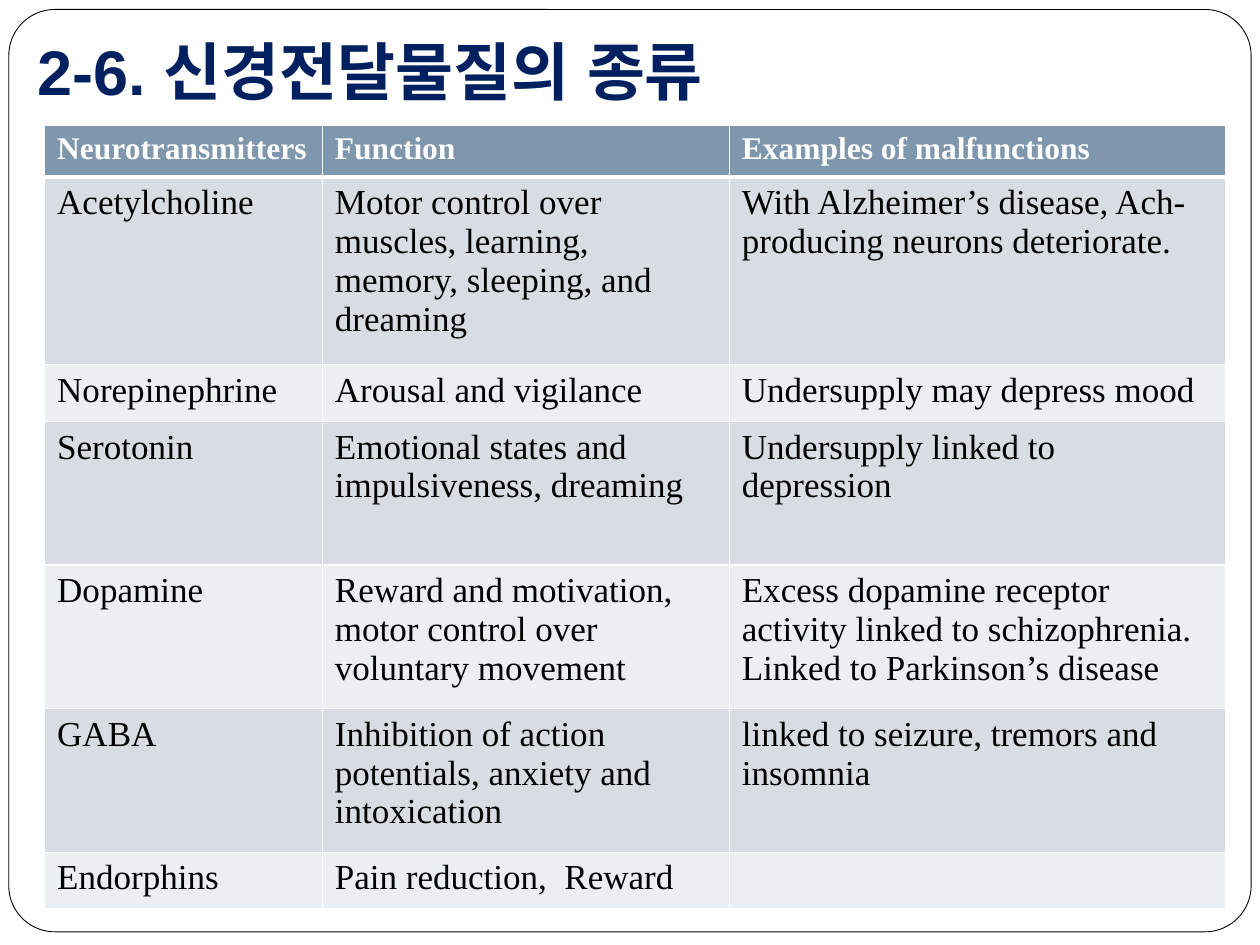
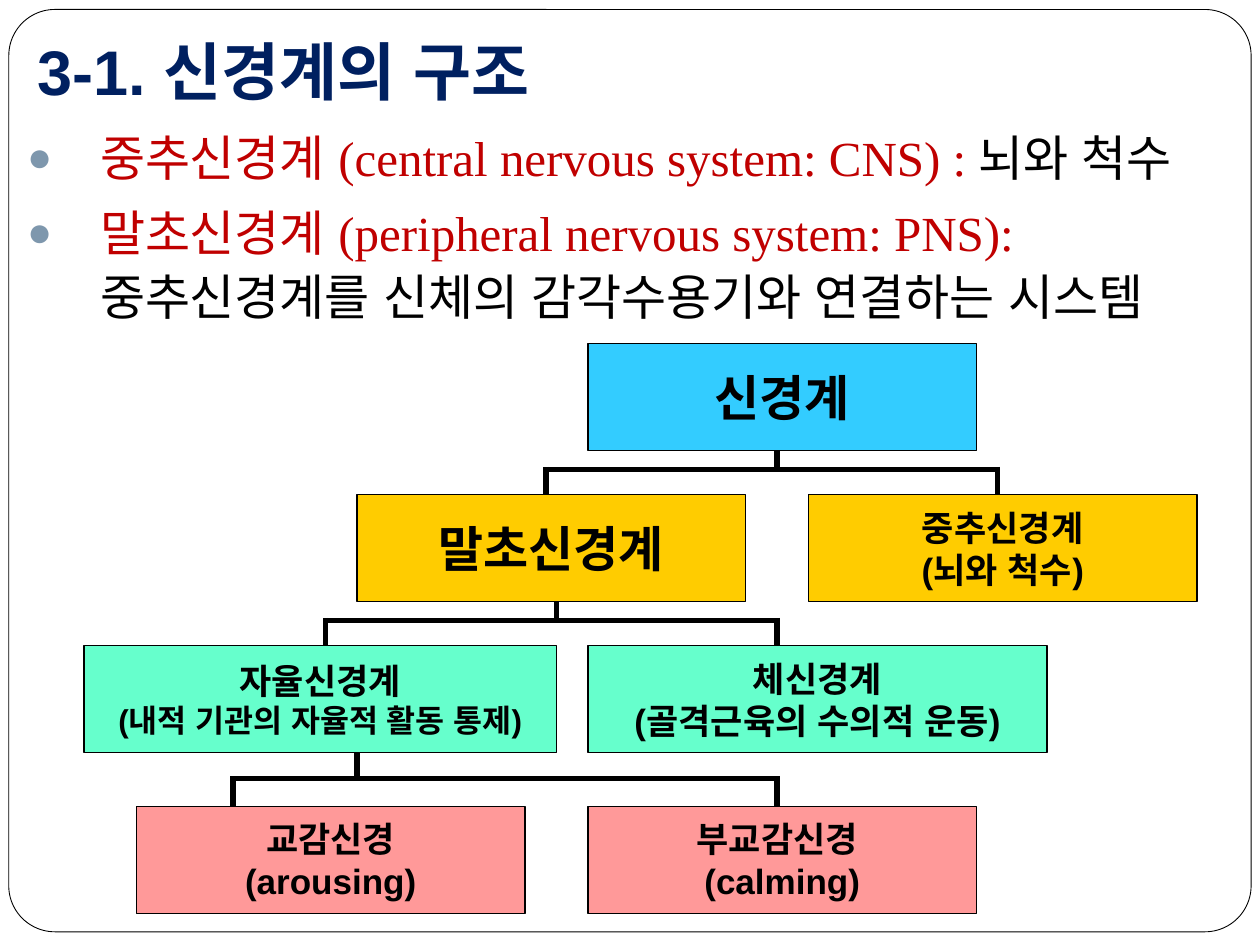
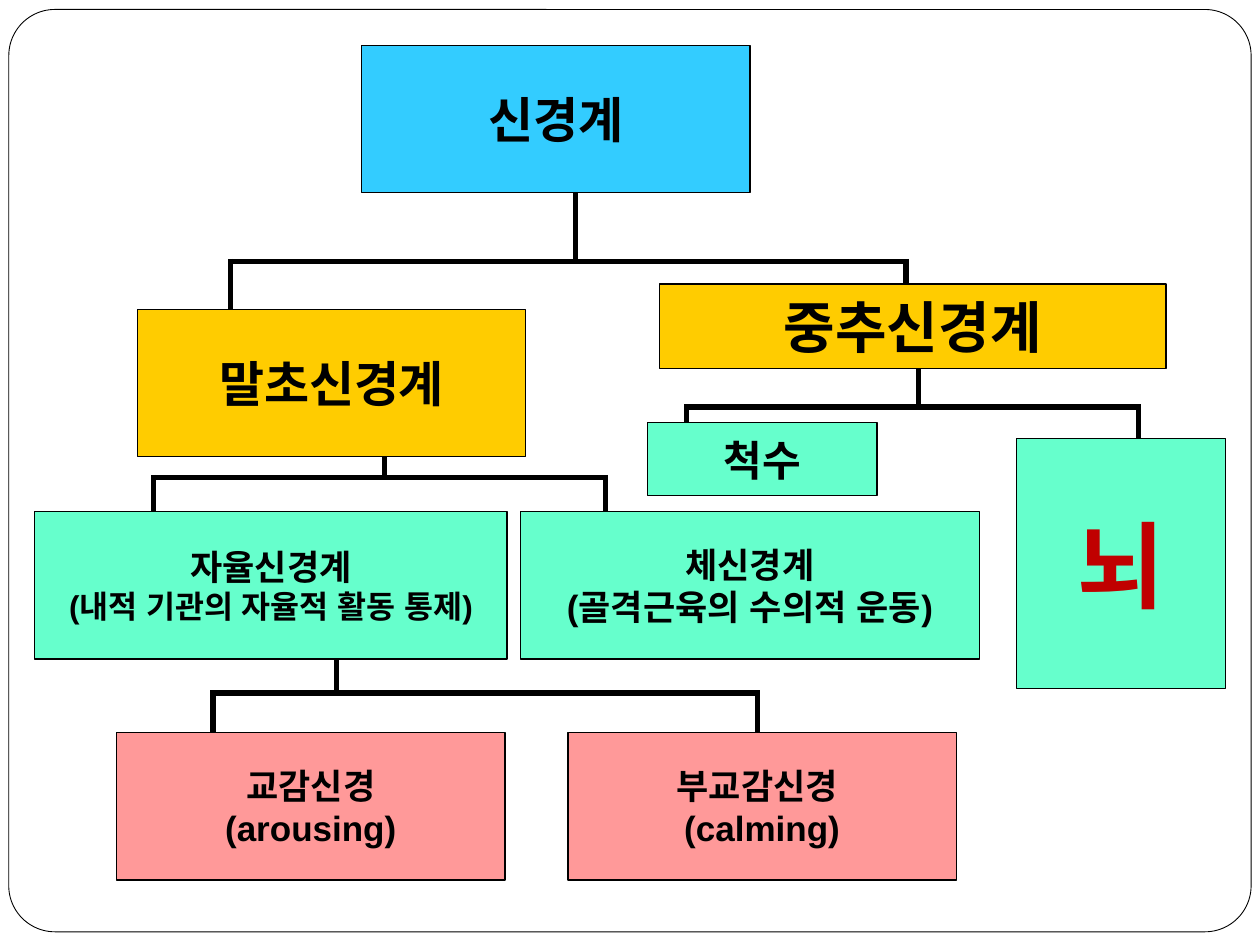
from dataclasses import dataclass

from lxml import etree
from pptx import Presentation
from pptx.dml.color import RGBColor
from pptx.enum.shapes import MSO_CONNECTOR, MSO_SHAPE
from pptx.enum.text import MSO_ANCHOR, MSO_AUTO_SIZE, PP_ALIGN
from pptx.oxml.ns import qn
from pptx.util import Inches, Pt

RECTANGLE, ROUNDED = MSO_SHAPE.RECTANGLE, MSO_SHAPE.ROUNDED_RECTANGLE
STRAIGHT = MSO_CONNECTOR.STRAIGHT
LEFT, CENTER = PP_ALIGN.LEFT, PP_ALIGN.CENTER
TOP, MIDDLE, BOTTOM = MSO_ANCHOR.TOP, MSO_ANCHOR.MIDDLE, MSO_ANCHOR.BOTTOM
NO_FIT = MSO_AUTO_SIZE.NONE

WIDTH, HEIGHT = Inches(10), Inches(7.5)
COLUMN, ROW = WIDTH / 100, HEIGHT / 75
TITLE_AND_BODY, TITLE_ONLY, BLANK = 1, 5, 6
SANS, SERIF = "Arial", "Times New Roman"
COLORS = {
    "white": "FFFFFF", "black": "000000", "navy": "002060", "red": "C00000",
    "slate": "7E97AD", "band": "D8DDE3", "pale": "ECEFF1",
    "sky": "33CCFF", "gold": "FFCC00", "mint": "66FFCC", "rose": "FF9999",
}


@dataclass(frozen=True)
class Area:
    """A rectangle in grid columns and rows."""
    left: float
    top: float
    width: float
    height: float

    def lengths(self) -> tuple[int, int, int, int]:
        return (round(self.left * COLUMN), round(self.top * ROW),
                round(self.width * COLUMN), round(self.height * ROW))


@dataclass(frozen=True)
class Label:
    """The lines of a box, each with its size, and the box's colours."""
    lines: tuple[tuple[str, int], ...]
    fill: str
    color: str = "black"


@dataclass(frozen=True)
class Node:
    label: Label
    area: Area


@dataclass(frozen=True)
class Branch:
    """A trunk that comes down to a bar with a drop at each end."""
    trunk: float
    start: float
    left: float
    right: float
    bar: float
    end: float


NERVOUS = Label((("신경계", 28),), "sky")
PERIPHERAL = Label((("말초신경계", 28),), "gold")
CENTRAL = Label((("중추신경계", 32),), "gold")
CENTRAL_PARTS = Label((("중추신경계", 20), ("(뇌와 척수)", 20)), "gold")
AUTONOMIC = Label((("자율신경계", 20), ("(내적 기관의 자율적 활동 통제)", 18)), "mint")
SOMATIC = Label((("체신경계", 20), ("(골격근육의 수의적 운동)", 20)), "mint")
SYMPATHETIC = Label((("교감신경", 20), ("(arousing)", 20)), "rose")
PARASYMPATHETIC = Label((("부교감신경 ", 20), ("(calming)", 20)), "rose")
SPINAL_CORD = Label((("척수", 24),), "mint")
BRAIN = Label((("뇌", 54),), "mint", "red")

BOX, AUTONOMIC_WIDTH, SOMATIC_WIDTH = 30.83, 37.5, 36.42
LOW, TALL = 8.5, 11.7
STRUCTURE_NODES = [
    Node(NERVOUS, Area(46.67, 27.25, BOX, LOW)),
    Node(PERIPHERAL, Area(28.33, 39.25, BOX, LOW)),
    Node(CENTRAL_PARTS, Area(64.17, 39.25, BOX, LOW)),
    Node(AUTONOMIC, Area(6.67, 51.25, AUTONOMIC_WIDTH, LOW)),
    Node(SOMATIC, Area(46.67, 51.25, SOMATIC_WIDTH, LOW)),
    Node(SYMPATHETIC, Area(10.83, 64, BOX, LOW)),
    Node(PARASYMPATHETIC, Area(46.67, 64, BOX, LOW)),
]
STRUCTURE_BRANCHES = [
    Branch(61.67, 35, 43.33, 79.17, 37.25, 39.6),
    Branch(44.17, 47.1, 25.83, 61.67, 49.25, 51.6),
    Branch(28.33, 59.4, 18.5, 61.67, 61.8, 64),
]
OVERVIEW_NODES = [
    Node(NERVOUS, Area(28.7, 3.6, BOX, TALL)),
    Node(PERIPHERAL, Area(10.9, 24.55, BOX, TALL)),
    Node(CENTRAL, Area(52.35, 22.55, 40.2, 6.7)),
    Node(AUTONOMIC, Area(2.75, 40.6, AUTONOMIC_WIDTH, TALL)),
    Node(SOMATIC, Area(41.3, 40.6, SOMATIC_WIDTH, TALL)),
    Node(SYMPATHETIC, Area(9.25, 58.15, BOX, TALL)),
    Node(PARASYMPATHETIC, Area(45.07, 58.15, BOX, TALL)),
    Node(SPINAL_CORD, Area(51.4, 33.55, 18.2, 5.8)),
    Node(BRAIN, Area(80.7, 34.8, 16.55, 19.85)),
]
OVERVIEW_BRANCHES = [
    Branch(45.7, 15.2, 18.3, 71.9, 20.75, 26.5),
    Branch(30.5, 34.8, 12.2, 48.05, 37.9, 41.1),
    Branch(26.7, 51.7, 16.9, 60.1, 55, 58.1),
    Branch(72.9, 29.2, 54.5, 90.35, 32.3, 35.5),
]

TABLE_COLUMNS = [22.04, 32.3, 39.4]
TABLE_ROWS = [4.15, 14.9, 4.5, 11.4, 11.4, 11.4, 4.5]
TRANSMITTERS = [
    ("Neurotransmitters", "Function", "Examples of malfunctions"),
    ("Acetylcholine",
     "Motor control over muscles, learning, memory, sleeping, and dreaming",
     "With Alzheimer’s disease, Ach-producing neurons deteriorate."),
    ("Norepinephrine", "Arousal and vigilance", "Undersupply may depress mood"),
    ("Serotonin", "Emotional states and impulsiveness, dreaming",
     "Undersupply linked to depression"),
    ("Dopamine", "Reward and motivation, motor control over voluntary movement",
     "Excess dopamine receptor activity linked to schizophrenia. "
     "Linked to Parkinson’s disease"),
    ("GABA", "Inhibition of action potentials, anxiety and intoxication",
     "linked to seizure, tremors and insomnia"),
    ("Endorphins", "Pain reduction,  Reward", ""),
]
DEFINITIONS = [
    ("중추신경계 (central nervous system: CNS) : ", "뇌와 척수"),
    ("말초신경계 (peripheral nervous system: PNS): ",
     "중추신경계를 신체의 감각수용기와 연결하는 시스템"),
]


def rgb(name: str) -> RGBColor:
    return RGBColor.from_string(COLORS[name])


def add_span(para, text: str, *, size: float, color: str = "black",
             font: str = SANS, bold: bool = False) -> None:
    span = para.add_run()
    span.text = text
    span.font.name, span.font.size, span.font.bold = font, Pt(size), bold
    span.font.color.rgb = rgb(color)
    etree.SubElement(span.font._element, qn("a:ea"), typeface=SANS)


def set_hanging(para, inches: float) -> None:
    properties = para._p.get_or_add_pPr()
    properties.set("marL", str(Inches(inches)))
    properties.set("indent", str(-Inches(inches)))


def set_bullet(para) -> None:
    properties = para._p.get_or_add_pPr()
    tint = etree.SubElement(properties, qn("a:buClr"))
    etree.SubElement(tint, qn("a:srgbClr"), val=COLORS["slate"])
    etree.SubElement(properties, qn("a:buSzPct"), val="85000")
    etree.SubElement(properties, qn("a:buChar"), char="●")


def place(shape, area: Area) -> None:
    shape.left, shape.top, shape.width, shape.height = area.lengths()


def add_shape(page, kind, area: Area, fill: str, weight: float):
    shape = page.shapes.add_shape(kind, *area.lengths())
    shape.shadow.inherit = False
    shape.fill.solid()
    shape.fill.fore_color.rgb = rgb(fill)
    shape.line.color.rgb = rgb("black")
    shape.line.width = Pt(weight)
    return shape


def add_page(deck, layout: int):
    """Add a slide with the rounded frame behind its placeholders."""
    page = deck.slides.add_slide(deck.slide_layouts[layout])
    frame = add_shape(page, ROUNDED, Area(0.7, 0.75, 98.6, 73.2), "white", 0.5)
    frame.adjustments[0] = 0.05
    page.element.cSld.spTree.insert(2, frame.element)
    return page


def add_title(page, text: str) -> None:
    title = page.shapes.title
    place(title, Area(2, 2.1, 90.2, 7.5))
    frame = title.text_frame
    frame.auto_size, frame.word_wrap = NO_FIT, True
    frame.vertical_anchor = BOTTOM
    frame.margin_bottom = Inches(0.1)
    para = frame.paragraphs[0]
    para.alignment = LEFT
    set_hanging(para, 0.92)
    add_span(para, text, size=36, color="navy", bold=True)


def add_definitions(page) -> None:
    body = page.placeholders[1]
    place(body, Area(1.15, 9.15, 96.9, 63))
    frame = body.text_frame
    frame.auto_size, frame.word_wrap = NO_FIT, True
    frame.vertical_anchor = TOP
    for index, (term, meaning) in enumerate(DEFINITIONS):
        para = frame.add_paragraph() if index else frame.paragraphs[0]
        set_hanging(para, 0.58)
        set_bullet(para)
        para.line_spacing = 1.1
        para.space_before = Pt(5.8 if index else 0)
        add_span(para, term, size=28, color="red", font=SERIF)
        add_span(para, meaning, size=28, font=SERIF)


def set_border(cell, side: str, points: float) -> None:
    line = etree.SubElement(cell._tc.get_or_add_tcPr(), qn(f"a:ln{side}"),
                            w=str(Pt(points)))
    fill = etree.SubElement(line, qn("a:solidFill"))
    etree.SubElement(fill, qn("a:srgbClr"), val=COLORS["white"])


def add_transmitter_table(page) -> None:
    area = Area(3.54, 9.9, sum(TABLE_COLUMNS), sum(TABLE_ROWS))
    table = page.shapes.add_table(len(TABLE_ROWS), len(TABLE_COLUMNS),
                                  *area.lengths()).table
    for column, width in zip(table.columns, TABLE_COLUMNS):
        column.width = round(width * COLUMN)
    for index, (row, height) in enumerate(zip(table.rows, TABLE_ROWS)):
        row.height = round(height * ROW)
        header = index == 0
        fill = "slate" if header else ("pale", "band")[index % 2]
        weights = {"L": 1, "R": 1, "T": 3 if index == 1 else 1,
                   "B": 3 if header else 1}
        for cell, text in zip(row.cells, TRANSMITTERS[index]):
            for side, points in weights.items():
                set_border(cell, side, points)
            cell.fill.solid()
            cell.fill.fore_color.rgb = rgb(fill)
            if text:
                add_span(cell.text_frame.paragraphs[0], text, font=SERIF,
                         size=18 if header else 20, bold=header,
                         color="white" if header else "black")


def add_line(page, x1: float, y1: float, x2: float, y2: float) -> None:
    line = page.shapes.add_connector(
        STRAIGHT, round(x1 * COLUMN), round(y1 * ROW),
        round(x2 * COLUMN), round(y2 * ROW))
    line.line.color.rgb = rgb("black")
    line.line.width = Pt(3)
    etree.SubElement(line.element.spPr, qn("a:effectLst"))


def add_branch(page, branch: Branch) -> None:
    joint = branch.bar - 0.2
    add_line(page, branch.trunk, branch.start, branch.trunk, joint)
    add_line(page, branch.left, branch.bar, branch.right, branch.bar)
    for end in (branch.left, branch.right):
        add_line(page, end, joint, end, branch.end)


def add_node(page, node: Node) -> None:
    label = node.label
    box = add_shape(page, RECTANGLE, node.area, label.fill, 0.75)
    frame = box.text_frame
    frame.word_wrap = False
    frame.vertical_anchor = MIDDLE
    for index, (text, size) in enumerate(label.lines):
        para = frame.add_paragraph() if index else frame.paragraphs[0]
        para.alignment = CENTER
        add_span(para, text, size=size, color=label.color, bold=True)


def add_tree(page, nodes: list[Node], branches: list[Branch]) -> None:
    for branch in branches:
        add_branch(page, branch)
    for node in nodes:
        add_node(page, node)


def main() -> None:
    deck = Presentation()
    deck.slide_width, deck.slide_height = WIDTH, HEIGHT

    transmitters = add_page(deck, TITLE_ONLY)
    add_title(transmitters, "2-6. 신경전달물질의 종류")
    add_transmitter_table(transmitters)

    structure = add_page(deck, TITLE_AND_BODY)
    add_title(structure, "3-1. 신경계의 구조")
    add_definitions(structure)
    add_tree(structure, STRUCTURE_NODES, STRUCTURE_BRANCHES)

    overview = add_page(deck, BLANK)
    add_tree(overview, OVERVIEW_NODES, OVERVIEW_BRANCHES)
    deck.save("out.pptx")


if __name__ == "__main__":
    main()
